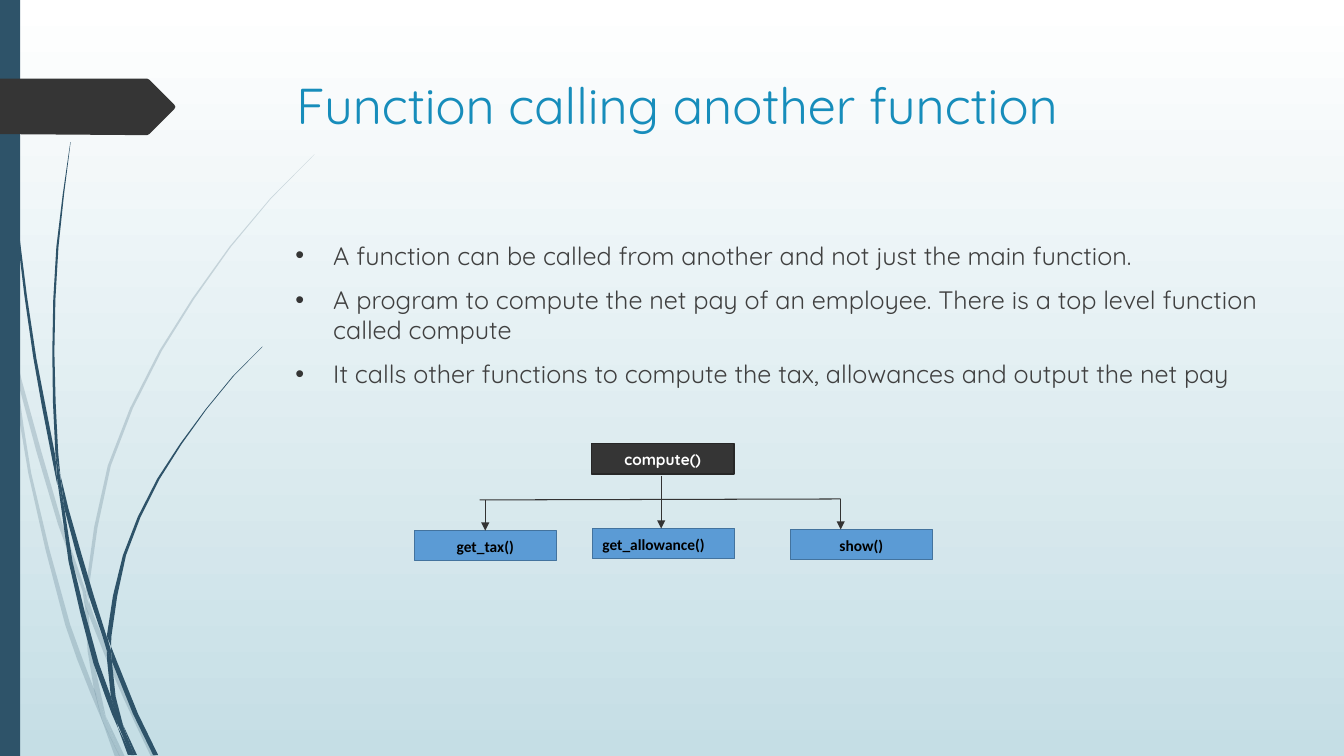
from lxml.etree import SubElement
from pptx import Presentation
from pptx.dml.color import RGBColor
from pptx.enum.shapes import MSO_CONNECTOR, MSO_SHAPE
from pptx.enum.text import MSO_ANCHOR, MSO_AUTO_SIZE, PP_ALIGN
from pptx.oxml.ns import qn
from pptx.util import Pt

TITLE = "Function calling another function"
POINTS = [
    "A function can be called from another and not just the main function.",
    "A program to compute the net pay of an employee. "
    "There is a top level function called compute",
    "It calls other functions to compute the tax, allowances and output the net pay",
]
COLORS = {
    "top": "FFFFFF", "base": "C5DEE5", "stem": "2E5369", "dark": "353535",
    "edge": "272727", "title": "178DBB", "body": "404040", "blue": "5B9BD5",
    "rim": "43739E", "wire": "333333", "white": "FFFFFF", "black": "000000",
}
FONT = "Quicksand"

# text, left, top, fill, line, line width, font, font colour, alignment
BOXES = [
    ("compute()", 422.6, 316.8, "dark", "edge", 1.25, FONT, "white", PP_ALIGN.CENTER),
    ("get_tax()", 295.9, 379, "blue", "rim", 1, "Calibri", "black", PP_ALIGN.CENTER),
    ("get_allowance()", 423.2, 377.6, "blue", "rim", 1, "Calibri", "black", PP_ALIGN.LEFT),
    ("show()", 564.5, 378.3, "blue", "rim", 1, "Calibri", "black", PP_ALIGN.CENTER),
]
BOX_W, BOX_H = 101.5, 21.6

# x1, y1, x2, y2, arrowhead
WIRES = [
    (342.7, 357.1, 600.5, 356.4, False),
    (472.3, 339.8, 472.3, 377.6, True),
    (600.5, 356.4, 600.5, 378.3, True),
    (346.6, 357.1, 346.6, 379, True),
]

# Each blade is a list of (y, left edge, right edge)
PALE = [
    [(203, 0, 0.1), (215.3, 0, 2.9), (231.8, 3.6, 6.5), (252, 7.9, 8)],
    [(248.4, 10, 10.2), (270.7, 12.2, 15.3), (374.4, 41.4, 44.6),
     (422, 58.9, 61.2), (431.3, 60.3, 60.5)],
    [(429.1, 63.3, 63.5), (439.2, 63.4, 66.8), (498.2, 88, 91.4), (540.7, 108, 111.6)],
    [(511.9, 75.6, 75.7), (540.7, 85.7, 89.3)],
    [(252, 7.9, 8), (270.7, 10, 12.2), (338, 20.2, 22.3), (446.4, 46.6, 50.2),
     (495, 64.6, 68.2), (514.1, 72.7, 72.8)],
    [(431.3, 60.5, 60.6), (437.8, 60.7, 63.2), (465.1, 62.6, 65.5),
     (491.8, 67, 71.2), (511.9, 75.5, 75.6)],
    [(110.2, 224.6, 224.8), (141.8, 193, 193.7), (176.4, 163.8, 164.9),
     (250.6, 113.8, 115.6), (332.6, 77, 79.2), (420.5, 61.2, 63.4), (429.1, 63.3, 63.4)],
    [(514.1, 72.7, 72.8), (540.7, 82.1, 85.7)],
    [(421.9, 61.1, 61.2), (431.3, 60.5, 63.3), (439.2, 63.3, 63.4)],
    [(491.8, 67, 67.1), (514.1, 72.7, 76.2), (540.7, 85.6, 85.7)],
]
DEEP = [
    [(0, 2.2, 2.9), (79.2, 5, 5.8), (167.4, 12.2, 13.7), (255.6, 23.8, 25.9),
     (326.2, 36.9, 39.6), (346.3, 40.9, 41)],
    [(339.8, 43.2, 43.3), (363.6, 46.1, 49), (425.5, 63.4, 67),
     (455, 73.4, 76.3), (464.4, 76.2, 76.3)],
    [(461.5, 79.2, 79.3), (472.3, 79.9, 83.5), (509.8, 95, 98.6), (539.3, 109.4, 113)],
    [(343.4, 41, 41.1), (363.6, 43.9, 46.1), (401, 49, 51.8), (473.8, 66.8, 70.6),
     (497.5, 75.3, 79.2), (509.8, 79.9, 82.4), (519.8, 84.2, 84.3)],
    [(101.5, 50.3, 50.5), (176.4, 40.3, 41.8), (251.3, 37.4, 38.9),
     (323.3, 39.6, 41.6), (339.8, 43.1, 43.2)],
    [(517.7, 87.8, 87.9), (539.3, 95.7, 97.9)],
    [(323.3, 39.6, 39.7), (343.4, 41, 43.5), (363.6, 46, 46.1)],
    [(247.7, 187.3, 187.5), (268.6, 166.3, 167), (292.3, 146.9, 147.6),
     (342, 112.3, 114.1), (396.7, 87.8, 90), (454.3, 76.3, 79.6), (461.5, 79.2, 79.3)],
    [(519.8, 84.2, 84.3), (539.3, 91.4, 94.3)],
    [(464.4, 76.3, 76.4), (472.3, 76.6, 79.9), (497.5, 79.2, 82.6), (517.7, 87.1, 87.8)],
    [(454.3, 76.3, 76.4), (464.4, 76.3, 79.2), (472.3, 79.8, 79.9)],
    [(497.5, 79.2, 79.3), (516.2, 83.5, 87.1), (539.3, 93.6, 95.8)],
]
LONG = 40
TAG = [(0, 56.2), (105.1, 56.2), (106.6, 56.9), (124.6, 74.9), (125.3, 76.3),
       (124.6, 77.8), (106.6, 95.8), (105.1, 96.5), (97.9, 96.5), (0, 95.8)]


def paint(color):
    return RGBColor.from_string(COLORS[color])


def style(shape, fill, line=None, width=1):
    shape.shadow.inherit = False
    shape.fill.solid()
    shape.fill.fore_color.rgb = paint(fill)
    if line:
        shape.line.color.rgb = paint(line)
        shape.line.width = Pt(width)
    else:
        shape.line.fill.background()


def write(para, text, size, font, color, bold=False):
    run = para.add_run()
    run.text = text
    run.font.size = Pt(size)
    run.font.name = font
    run.font.bold = bold
    run.font.color.rgb = paint(color)


def curve(ys, xs):
    """Join the knots, with a smooth midpoint in every long gap."""
    last = len(ys) - 1
    spans = [(max(i - 1, 0), min(i + 1, last)) for i in range(last + 1)]
    slopes = [(xs[b] - xs[a]) / (ys[b] - ys[a]) for a, b in spans]
    points = []
    for i in range(last):
        points.append((xs[i], ys[i]))
        gap = ys[i + 1] - ys[i]
        if gap > LONG:
            x = (xs[i] + xs[i + 1]) / 2 + gap * (slopes[i] - slopes[i + 1]) / 8
            points.append((x, ys[i] + gap / 2))
    return points + [(xs[-1], ys[-1])]


def add_outline(shapes, points, fill, alpha=None):
    points = [(Pt(x), Pt(y)) for x, y in points]
    pen = shapes.build_freeform(*points[0])
    pen.add_line_segments(points[1:], close=True)
    shape = pen.convert_to_shape()
    style(shape, fill)
    if alpha:
        color = next(shape.element.spPr.iter(qn("a:srgbClr")))
        SubElement(color, qn("a:alpha"), val=str(alpha * 1000))


def place(shape, left, top, width, height):
    shape.left, shape.top = Pt(left), Pt(top)
    shape.width, shape.height = Pt(width), Pt(height)
    frame = shape.text_frame
    frame.word_wrap = True
    frame.auto_size = MSO_AUTO_SIZE.NONE
    frame.vertical_anchor = MSO_ANCHOR.TOP
    return frame


def add_bullet(para):
    props = para._p.get_or_add_pPr()
    props.set("marL", str(Pt(27)))
    props.set("indent", str(Pt(-27)))
    color = SubElement(props, qn("a:buClr"))
    SubElement(color, qn("a:srgbClr"), val=COLORS["dark"])
    SubElement(props, qn("a:buFont"), typeface="Arial")
    SubElement(props, qn("a:buChar"), char="•")


def add_wire(shapes, x1, y1, x2, y2, arrow):
    wire = shapes.add_connector(MSO_CONNECTOR.STRAIGHT, Pt(x1), Pt(y1), Pt(x2), Pt(y2))
    wire.line.color.rgb = paint("wire")
    wire.line.width = Pt(0.75)
    props = wire.element.spPr
    if arrow:
        SubElement(props.find(qn("a:ln")), qn("a:tailEnd"), type="triangle")
    SubElement(props, qn("a:effectLst"))


def main():
    deck = Presentation()
    deck.slide_width, deck.slide_height = Pt(960), Pt(540)
    slide = deck.slides.add_slide(deck.slide_layouts[1])
    shapes = slide.shapes
    title, body = slide.placeholders
    back = slide.background.fill
    back.gradient()
    back.gradient_angle = 270
    for stop, spot, color in zip(back.gradient_stops, (0, 1), ("top", "base")):
        stop.position = spot
        stop.color.rgb = paint(color)

    for blades, alpha in ((PALE, 20), (DEEP, None)):
        for rows in blades:
            ys, left, right = zip(*rows)
            add_outline(shapes, curve(ys, left) + curve(ys, right)[::-1], "stem", alpha)
    style(shapes.add_shape(MSO_SHAPE.RECTANGLE, 0, 0, Pt(14.4), Pt(540)), "stem")
    add_outline(shapes, TAG, "dark")

    para = place(title, 204.5, 49, 702, 100.8).paragraphs[0]
    para.alignment = PP_ALIGN.LEFT
    write(para, TITLE, 36, FONT, "title")
    frame = place(body, 203.8, 167.8, 702, 297.4)
    for i, text in enumerate(POINTS):
        para = frame.add_paragraph() if i else frame.paragraphs[0]
        para.space_before = Pt(10)
        add_bullet(para)
        write(para, text, 18, FONT, "body")

    for text, left, top, fill, line, width, font, color, align in BOXES:
        box = shapes.add_shape(MSO_SHAPE.RECTANGLE, Pt(left), Pt(top), Pt(BOX_W), Pt(BOX_H))
        style(box, fill, line, width)
        box.text_frame.vertical_anchor = MSO_ANCHOR.MIDDLE
        para = box.text_frame.paragraphs[0]
        para.alignment = align
        para.line_spacing = 1.07
        para.space_after = Pt(8)
        write(para, text, 11, font, color, True)
    for wire in WIRES:
        add_wire(shapes, *wire)
    deck.save("out.pptx")


if __name__ == "__main__":
    main()
